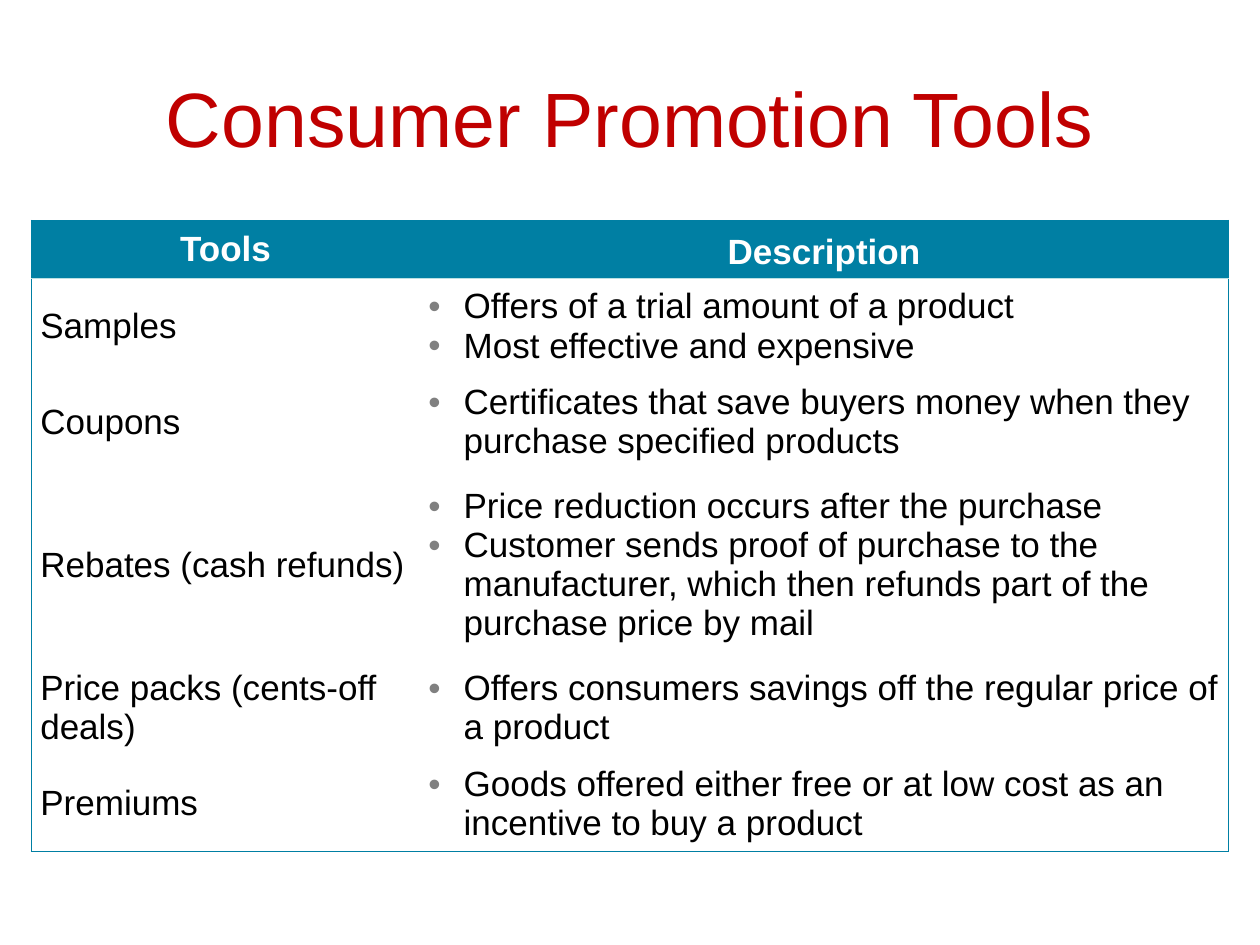
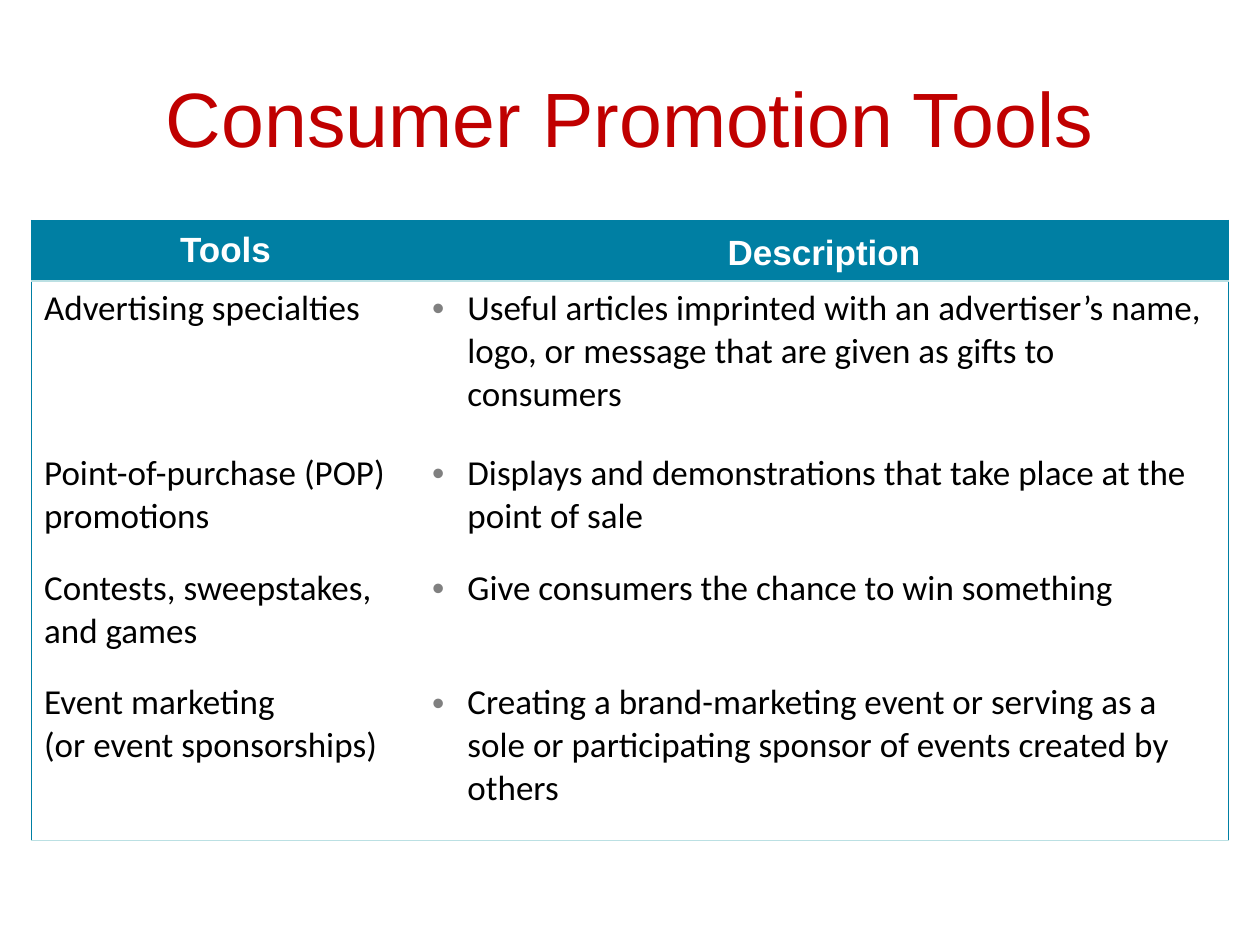
from lxml import etree
from pptx import Presentation
from pptx.dml.color import RGBColor
from pptx.enum.text import MSO_ANCHOR, PP_ALIGN
from pptx.oxml.ns import qn
from pptx.util import Pt

PX = 9144  # 100 px to the inch
COLORS = {
    "title": "C00000",
    "teal": "007FA3",
    "pale": "BBE0E3",
    "white": "FFFFFF",
    "text": "000000",
    "bullet": "808080",
}
NO_STYLE = "{2D5ABB26-0587-4C30-8999-92F81FD0307C}"
TITLE = "Consumer Promotion Tools"
TITLE_BOX = (50, 30, 900, 125)
HEADERS = ("Tools", "Description")
COLUMNS = (308, 642)
INDENT = 28
TIGHT, ROOMY = (7, 0), (10, 5)  # cell margins: sides, top and bottom

# Each row: height, tool lines, description bullets
BASIC_TOOLS = [
    (76, ["Samples"],
     ["Offers of a trial amount of a product", "Most effective and expensive"]),
    (76, ["Coupons"],
     ["Certificates that save buyers money when they purchase specified products"]),
    (151, ["Rebates (cash refunds)"],
     ["Price reduction occurs after the purchase",
      "Customer sends proof of purchase to the manufacturer, "
      "which then refunds part of the purchase price by mail"]),
    (76, ["Price packs (cents-off deals)"],
     ["Offers consumers savings off the regular price of a product"]),
    (76, ["Premiums"],
     ["Goods offered either free or at low cost as an incentive to buy a product"]),
]
EVENT_TOOLS = [
    (131, ["Advertising specialties"],
     ["Useful articles imprinted with an advertiser’s name, logo, "
      "or message that are given as gifts to consumers"]),
    (91, ["Point-of-purchase (POP) promotions"],
     ["Displays and demonstrations that take place at the point of sale"]),
    (91, ["Contests, sweepstakes, and games"],
     ["Give consumers the chance to win something"]),
    (131, ["Event marketing", "(or event sponsorships)"],
     ["Creating a brand-marketing event or serving as a sole or "
      "participating sponsor of events created by others"]),
]


def rgb(name):
    return RGBColor.from_string(COLORS[name])


def add_color(parent, name):
    etree.SubElement(parent, qn("a:srgbClr"), val=COLORS[name])


def write(tf, lines, size, color, font="Arial", bold=False, align=PP_ALIGN.LEFT):
    tf.text = "\n".join(lines)
    for p in tf.paragraphs:
        p.alignment = align
        for r in p.runs:
            r.font.size, r.font.name, r.font.bold = Pt(size), font, bold
            r.font.color.rgb = rgb(color)


def add_bullet(p):
    pPr = p._p.get_or_add_pPr()
    pPr.set("marL", str(INDENT * PX))
    pPr.set("indent", str(-INDENT * PX))
    add_color(etree.SubElement(pPr, qn("a:buClr")), "bullet")
    etree.SubElement(pPr, qn("a:buFont"), typeface="Arial")
    etree.SubElement(pPr, qn("a:buChar"), char="•")


def style_cell(cell, fill, margins, anchor, edges):
    """Edges map side letters, in the order L, R, T, B, to colour names."""
    side, end = (m * PX for m in margins)
    cell.margin_left = cell.margin_right = side
    cell.margin_top = cell.margin_bottom = end
    cell.vertical_anchor = anchor
    tcPr = cell._tc.get_or_add_tcPr()
    for letter, color in edges.items():
        ln = etree.SubElement(tcPr, qn("a:ln" + letter), w=str(Pt(1)))
        add_color(etree.SubElement(ln, qn("a:solidFill")), color)
    cell.fill.solid()
    cell.fill.fore_color.rgb = rgb(fill)


def add_title(s, box):
    sp = s.shapes.add_textbox(*(v * PX for v in box))
    tf = sp.text_frame
    tf.word_wrap = True
    tf.vertical_anchor = MSO_ANCHOR.MIDDLE
    write(tf, [TITLE], 44, "title", align=PP_ALIGN.CENTER)


def add_tools_table(s, left, top, header_height, tools, font, margins, anchor, bottom):
    heights = [header_height] + [row[0] for row in tools]
    frame = s.shapes.add_table(len(heights), len(COLUMNS), left * PX, top * PX,
                               sum(COLUMNS) * PX, sum(heights) * PX)
    table = frame.table
    table._tbl.tblPr.find(qn("a:tableStyleId")).text = NO_STYLE
    for column, width in zip(table.columns, COLUMNS):
        column.width = width * PX
    for row, height in zip(table.rows, heights):
        row.height = height * PX

    # Header row
    outer = ("L", "R")
    for col, header in enumerate(HEADERS):
        cell = table.cell(0, col)
        edges = {outer[col]: "teal", "T": "teal", "B": "pale"}
        style_cell(cell, "teal", TIGHT, MSO_ANCHOR.MIDDLE, edges)
        write(cell.text_frame, [header], 20, "white", bold=True, align=PP_ALIGN.CENTER)
    table.cell(0, 1).text_frame.paragraphs[0].line_spacing = 1.15

    # Tools and their bulleted descriptions
    for i, (_, *texts) in enumerate(tools, 1):
        for col, lines in enumerate(texts):
            cell = table.cell(i, col)
            edges = {outer[col]: "teal"}
            if i == len(tools):
                edges["B"] = bottom
            style_cell(cell, "white", margins, anchor, edges)
            write(cell.text_frame, lines, 20, "text", font)
        for p in table.cell(i, 1).text_frame.paragraphs:
            add_bullet(p)


def add_tools_slide(prs, *table_options):
    s = prs.slides.add_slide(prs.slide_layouts[6])
    s.background.fill.solid()
    s.background.fill.fore_color.rgb = rgb("white")
    add_title(s, TITLE_BOX)
    add_tools_table(s, 25, 175, *table_options)


def main():
    prs = Presentation()
    prs.slide_width, prs.slide_height = 1000 * PX, 750 * PX
    add_tools_slide(prs, 46, BASIC_TOOLS, "Arial", TIGHT, MSO_ANCHOR.MIDDLE, "teal")
    add_tools_slide(prs, 48, EVENT_TOOLS, "Calibri", ROOMY, MSO_ANCHOR.TOP, "pale")
    prs.save("out.pptx")


if __name__ == "__main__":
    main()
